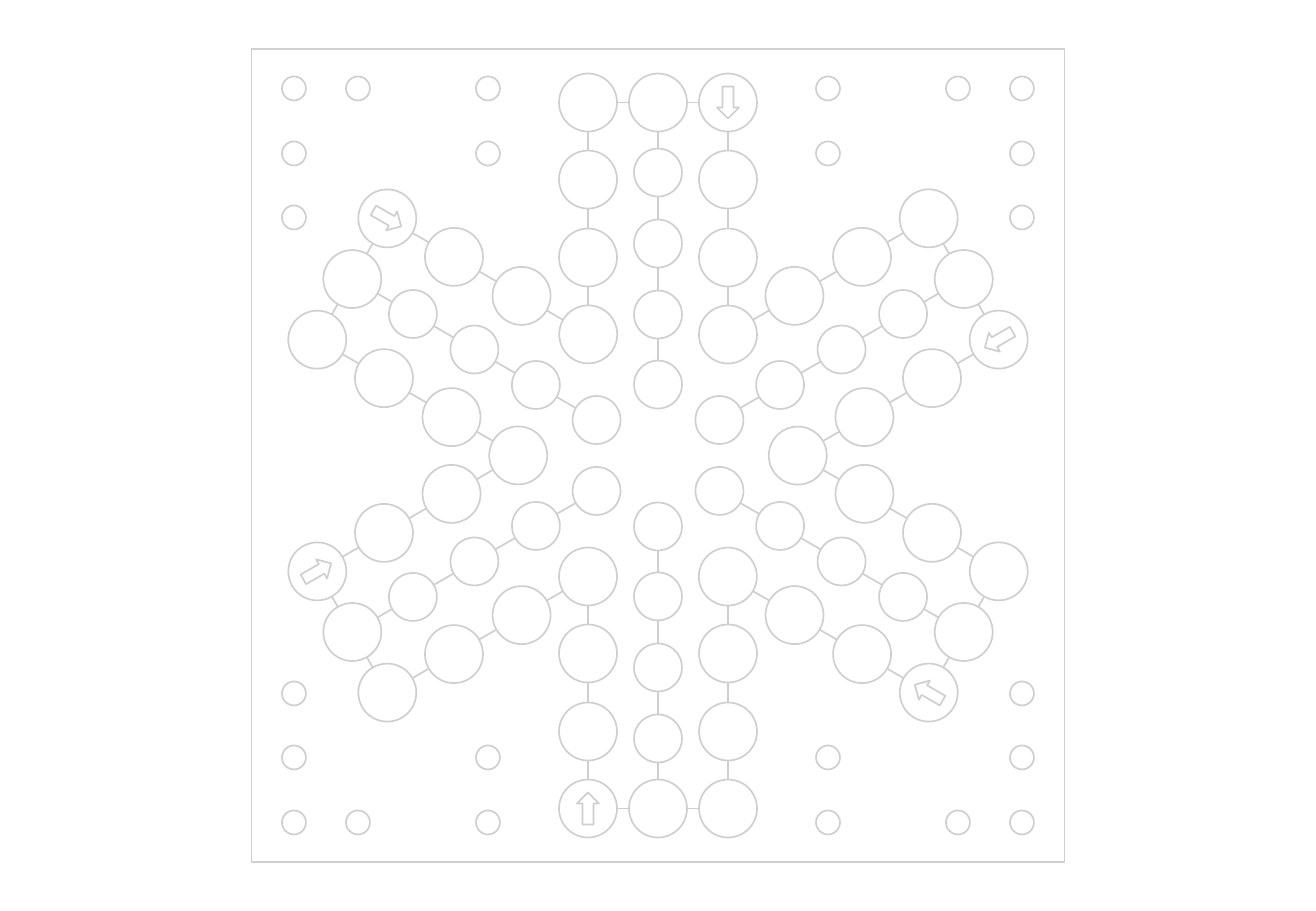
import itertools
import math

import lxml.etree
import pptx
import pptx.dml.color
import pptx.enum.shapes
import pptx.oxml.ns
import pptx.util

SHAPE = pptx.enum.shapes.MSO_SHAPE
SCALE = 914400 / 121.5  # EMU per pixel
WIDTH, HEIGHT = 1316, 911
CENTRE_X, CENTRE_Y = WIDTH / 2, HEIGHT / 2
COLOURS = {"fill": "FFFFFF", "line": "D0CECE"}

# Board: every position is an offset from the centre of the slide
FRAME_SIDE = 813
LARGE, SMALL, DOT = 58, 48, 24
ARROW = (32, 22)
ARM_ANGLES = (0, 180, 60, 120, 240, 300)

# One arm, pointing down; the others are turned copies
LANE, END = 70, 353
ARM_LINES = [
    ((LANE, 324), (LANE, 150)),
    ((-LANE, 324), (-LANE, 150)),
    ((0, 95), (0, 324)),
    ((-41, END), (41, END)),
]
LARGE_SPACES = [(0, END), (-LANE, 121)] + list(
    itertools.product((LANE, -LANE), (198, 276, END)))
SMALL_SPACES = [(0, 71), (0, 141), (0, 212), (0, 283)]
START = (-LANE, END)

# Dots of one corner, mirrored into all four
CORNER_DOTS = [(170, 367), (170, 302), (364, 367),
               (300, 367), (364, 302), (364, 238)]


def emu(pixels):
    return pptx.util.Emu(round(pixels * SCALE))


def colour(name):
    return pptx.dml.color.RGBColor.from_string(COLOURS[name])


def turn(point, angle):
    x, y = point
    cosine, sine = math.cos(math.radians(angle)), math.sin(math.radians(angle))
    return x * cosine - y * sine, x * sine + y * cosine


def style_line(line):
    line.color.rgb = colour("line")
    line.width = pptx.util.Pt(1)


def add_piece(shapes, kind, middle, size, rotation=0):
    width, height = size
    shape = shapes.add_shape(
        kind,
        emu(CENTRE_X + middle[0] - width / 2),
        emu(CENTRE_Y + middle[1] - height / 2),
        emu(width), emu(height))
    shape.rotation = rotation % 360
    shape.shadow.inherit = False
    shape.fill.solid()
    shape.fill.fore_color.rgb = colour("fill")
    style_line(shape.line)


def add_link(shapes, start, end):
    connector = shapes.add_connector(
        pptx.enum.shapes.MSO_CONNECTOR.STRAIGHT,
        emu(CENTRE_X + start[0]), emu(CENTRE_Y + start[1]),
        emu(CENTRE_X + end[0]), emu(CENTRE_Y + end[1]))
    style_line(connector.line)
    properties = connector._element.spPr
    lxml.etree.SubElement(properties, pptx.oxml.ns.qn("a:effectLst"))


def add_arm(slide, angle):
    shapes = slide.shapes.add_group_shape().shapes
    for start, end in ARM_LINES:
        add_link(shapes, turn(start, angle), turn(end, angle))
    for spaces, diameter in ((SMALL_SPACES, SMALL), (LARGE_SPACES, LARGE)):
        for space in spaces:
            add_piece(shapes, SHAPE.OVAL, turn(space, angle),
                      (diameter, diameter), angle)
    add_piece(shapes, SHAPE.RIGHT_ARROW, turn(START, angle), ARROW, angle + 270)


presentation = pptx.Presentation()
presentation.slide_width, presentation.slide_height = emu(WIDTH), emu(HEIGHT)
slide = presentation.slides.add_slide(presentation.slide_layouts[6])

# Frame
add_piece(slide.shapes, SHAPE.RECTANGLE, (0, 0), (FRAME_SIDE, FRAME_SIDE))

# Six arms of the star
for angle in ARM_ANGLES:
    add_arm(slide, angle)

# Corner dots
for side_x, side_y in itertools.product((-1, 1), repeat=2):
    for x, y in CORNER_DOTS:
        add_piece(slide.shapes, SHAPE.OVAL, (side_x * x, side_y * y), (DOT, DOT))

presentation.save("out.pptx")
